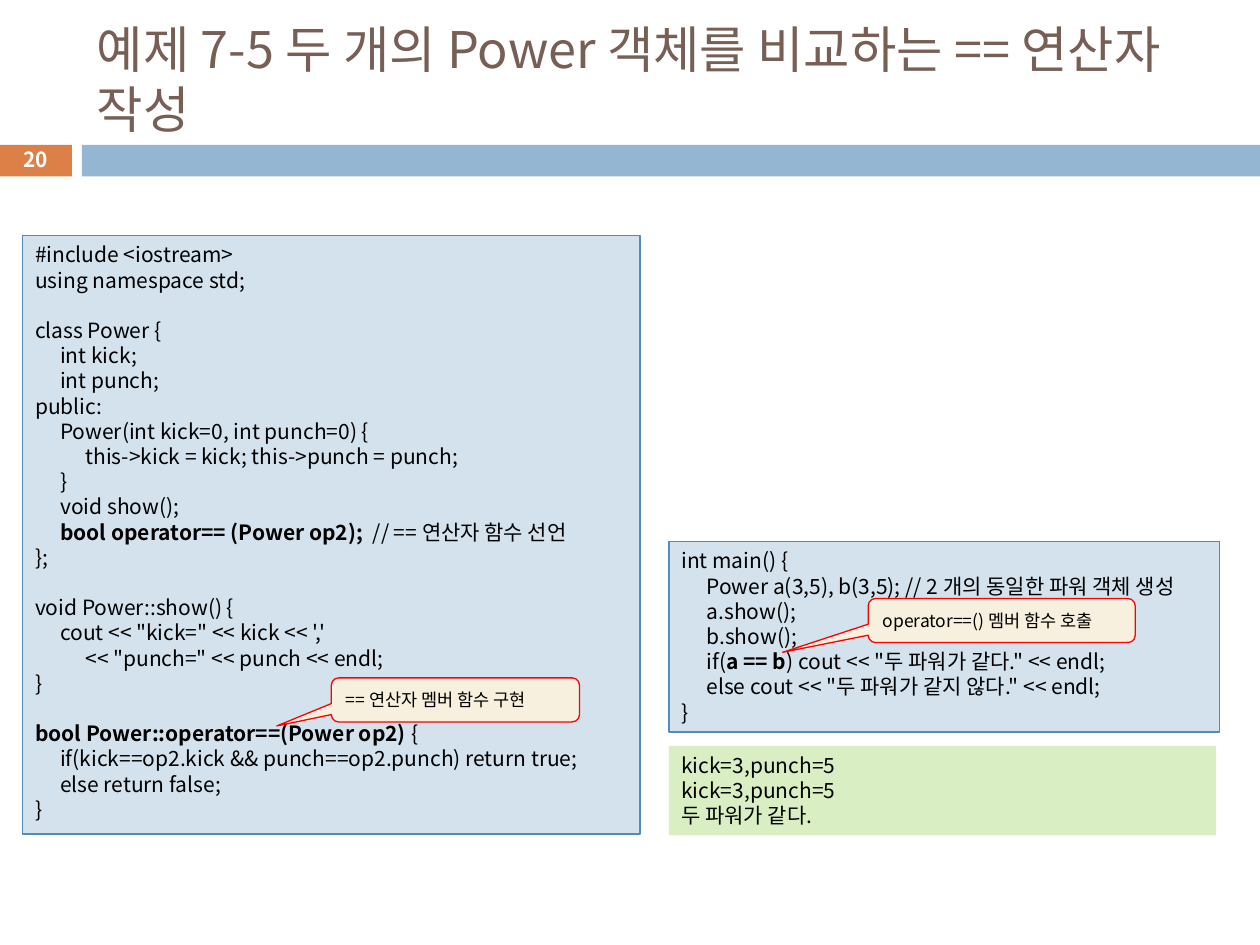
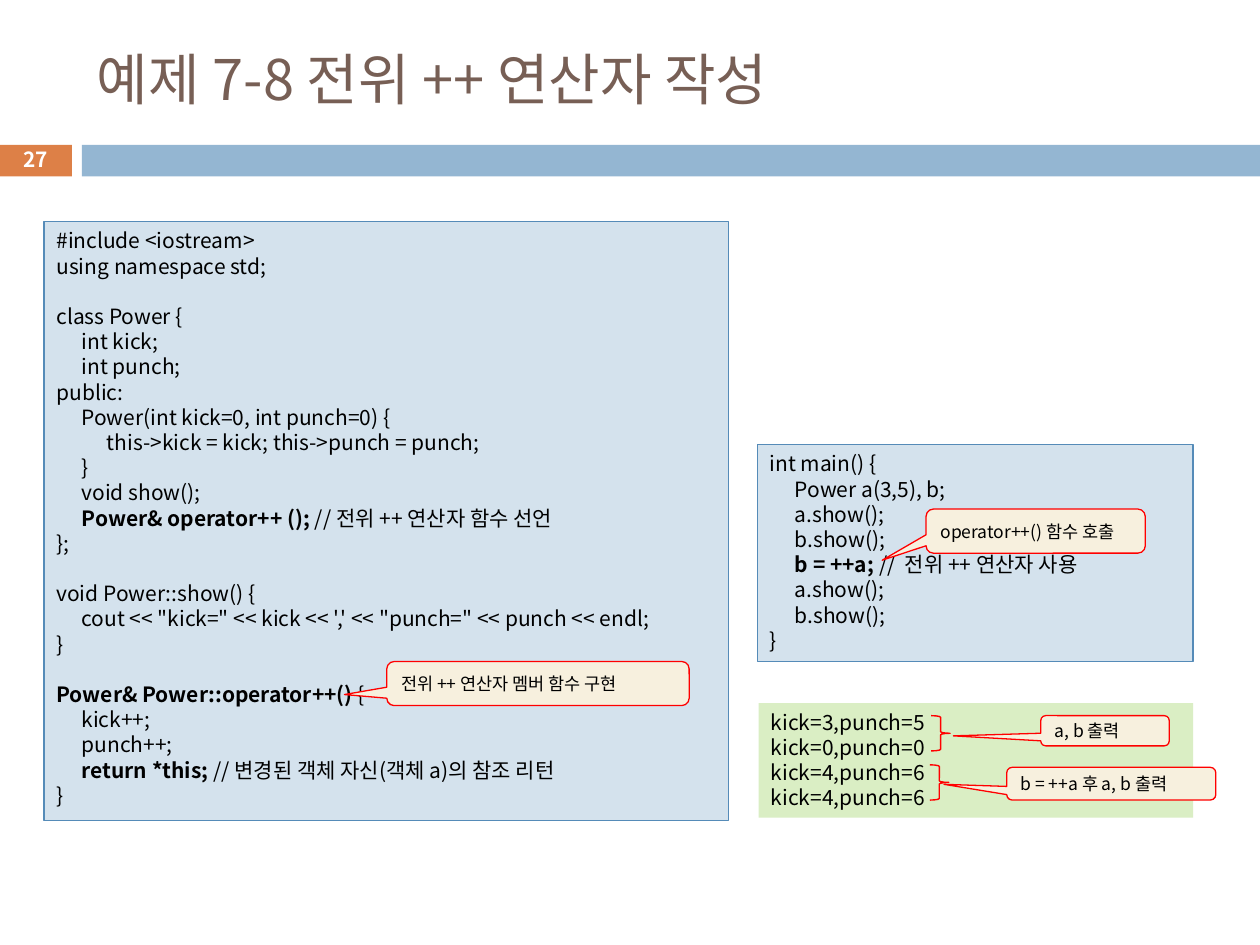
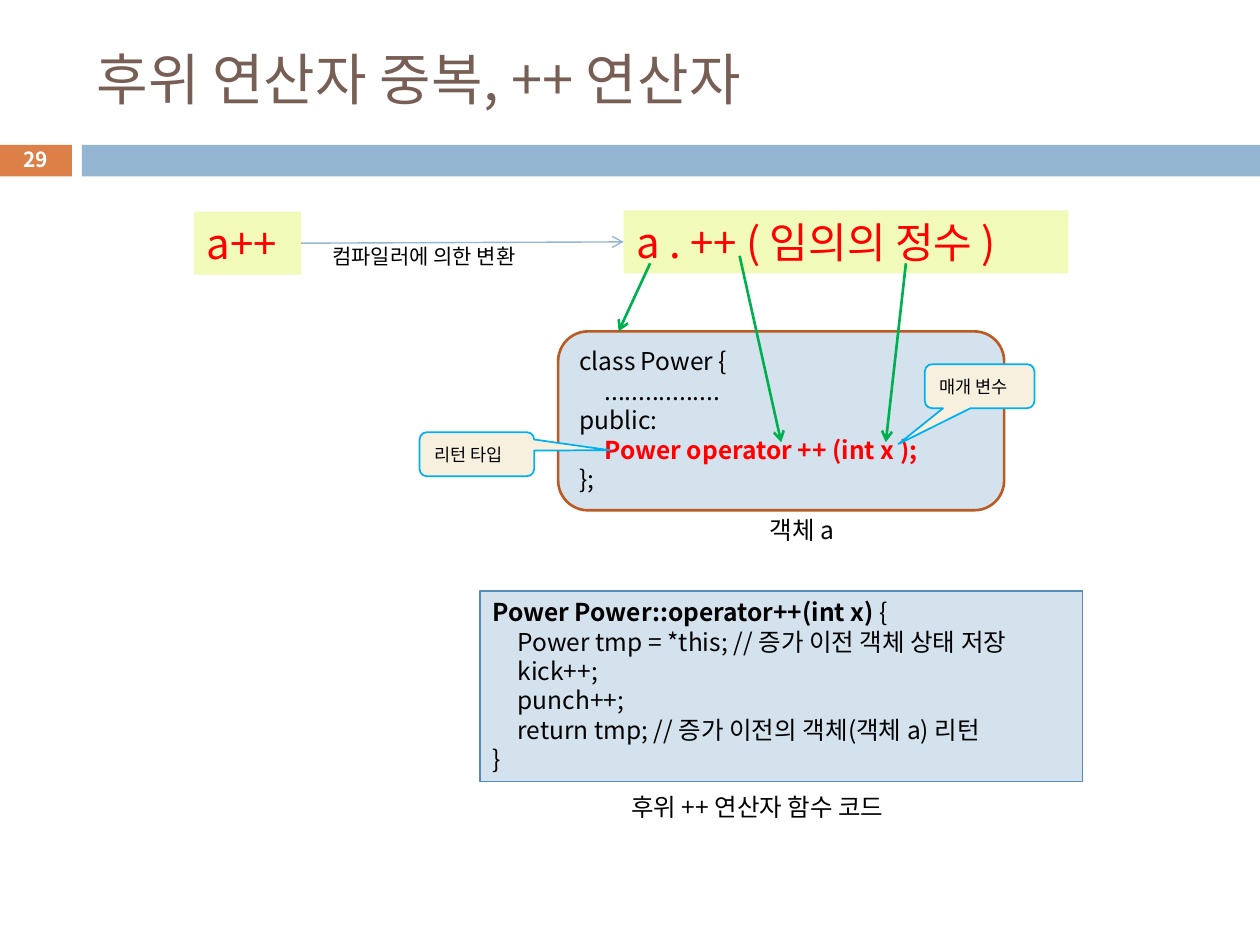
from dataclasses import dataclass
from typing import Any, Optional

from lxml import etree
from pptx import Presentation
from pptx import util as u
from pptx.dml import color
from pptx.enum import shapes, text
from pptx.oxml import ns

FONT = "Noto Sans CJK KR"
COLORS = {
    "ink": "000000", "white": "FFFFFF", "title": "775F55",
    "orange": "DD8047", "band": "94B6D2",
    "code": "D4E2ED", "code_edge": "558BB8", "class_edge": "B95B22",
    "output": "DAEEC4", "formula": "F1FAB8", "note": "F7F0DE",
    "red": "FF0000", "green": "00B050", "sky": "00B0F0",
}
KINDS = shapes.MSO_SHAPE
MIDDLE = text.MSO_ANCHOR.MIDDLE
LINE_HEIGHT = 1.2
TAB_WIDTH = u.Inches(0.2)
INDENT = "    "

# The slide is a grid of 100 columns and 75 rows
deck = Presentation()
deck.slide_width, deck.slide_height = u.Inches(10), u.Inches(7.5)
COLUMN = deck.slide_width / 100
ROW = deck.slide_height / 75


@dataclass(frozen=True)
class Area:
    column: float
    row: float
    columns: float
    rows: float

    def lengths(self) -> list[u.Emu]:
        return [u.Emu(round(self.column * COLUMN)), u.Emu(round(self.row * ROW)),
                u.Emu(round(self.columns * COLUMN)), u.Emu(round(self.rows * ROW))]


@dataclass(frozen=True)
class Look:
    """How a panel is drawn and how its words are set."""
    fill: Optional[str] = None
    edge: Optional[str] = None
    edge_width: float = 0.75
    kind: Any = KINDS.RECTANGLE
    size: float = 12
    ink: str = "ink"
    strong_ink: str = "ink"
    bold: bool = False
    align: Any = text.PP_ALIGN.LEFT
    anchor: Any = text.MSO_ANCHOR.TOP


@dataclass(frozen=True)
class Panel:
    area: Area
    look: Look
    words: str = ""
    pointer: Optional[tuple[float, float]] = None


@dataclass(frozen=True)
class Arrow:
    start: tuple[float, float]
    end: tuple[float, float]
    ink: str = "green"
    width: float = 1.5


# Shared looks
CALLOUT = KINDS.ROUNDED_RECTANGULAR_CALLOUT
NUMBER = Look(size=11.9, ink="white", bold=True, align=text.PP_ALIGN.CENTER, anchor=MIDDLE)
CODE = Look("code", "code_edge")
LARGE_CODE = Look("code", "code_edge", size=14)
CLASS_BOX = Look("code", "class_edge", 1.5, KINDS.ROUNDED_RECTANGLE, 14, strong_ink="red")
OUTPUT = Look("output")
FORMULA = Look("formula", size=24, ink="red")
RED_NOTE = Look("note", "red", kind=CALLOUT, size=10, anchor=MIDDLE)
SKY_NOTE = Look("note", "sky", 1, CALLOUT, 10, anchor=MIDDLE)
BRACE = Look(edge="red", edge_width=0.79, kind=KINDS.RIGHT_BRACE)
LABEL = Look()
CAPTION = Look(size=14)


def rgb(name: str) -> color.RGBColor:
    return color.RGBColor.from_string(COLORS[name])


def assign(target: Any, values: dict[str, Any]) -> None:
    for name, value in values.items():
        setattr(target, name, value)


def write(frame: Any, words: str, look: Look) -> None:
    """Set lines of text; ** switches bold, an empty line becomes a gap."""
    assign(frame, {"word_wrap": True, "vertical_anchor": look.anchor,
                   "auto_size": text.MSO_AUTO_SIZE.NONE})
    line_height = u.Pt(look.size * LINE_HEIGHT)
    para, gap = frame.paragraphs[0], False
    for number, line in enumerate(words.strip().splitlines()):
        if not line:
            gap = True
            continue
        if number:
            para = frame.add_paragraph()
        assign(para, {"alignment": look.align, "line_spacing": line_height})
        if gap:
            para.space_before, gap = line_height, False
        if line.startswith(INDENT):
            stops = etree.SubElement(para._p.get_or_add_pPr(), ns.qn("a:tabLst"))
            for step in (1, 2):
                etree.SubElement(stops, ns.qn("a:tab"), pos=str(TAB_WIDTH * step), algn="l")
        for index, part in enumerate(line.replace(INDENT, "\t").split("**")):
            if not part:
                continue
            strong = index % 2 == 1
            span = para.add_run()
            span.text = part
            assign(span.font, {"name": FONT, "size": u.Pt(look.size),
                               "bold": strong or look.bold})
            span.font.color.rgb = rgb(look.strong_ink if strong else look.ink)
            etree.SubElement(span.font._element, ns.qn("a:ea"), typeface=FONT)


def draw(page: Any, panel: Panel) -> Any:
    look = panel.look
    if not (look.fill or look.edge):
        box = page.shapes.add_textbox(*panel.area.lengths())
    else:
        box = page.shapes.add_shape(look.kind, *panel.area.lengths())
        box.shadow.inherit = False
        if look.fill:
            box.fill.solid()
            box.fill.fore_color.rgb = rgb(look.fill)
        else:
            box.fill.background()
        if look.edge:
            box.line.color.rgb = rgb(look.edge)
            box.line.width = u.Pt(look.edge_width)
        else:
            box.line.fill.background()
    if panel.pointer:
        box.adjustments[0], box.adjustments[1] = panel.pointer
    if panel.words:
        write(box.text_frame, panel.words, look)
    return box


def draw_arrow(page: Any, arrow: Arrow) -> Any:
    ends = [u.Emu(round(value * unit)) for point in (arrow.start, arrow.end)
            for value, unit in zip(point, (COLUMN, ROW))]
    line = page.shapes.add_connector(shapes.MSO_CONNECTOR.STRAIGHT, *ends)
    line.line.color.rgb = rgb(arrow.ink)
    line.line.width = u.Pt(arrow.width)
    etree.SubElement(line.line._get_or_add_ln(), ns.qn("a:tailEnd"), type="arrow")
    etree.SubElement(line._element.spPr, ns.qn("a:effectLst"))
    return line


def add_page(title: str, number: int, title_size: float = 32) -> Any:
    page = deck.slides.add_slide(deck.slide_layouts[6])
    title_look = Look(size=title_size, ink="title", anchor=MIDDLE)
    for panel in (
        Panel(Area(-0.1, 11.5, 5.8, 2.5), Look("orange")),
        Panel(Area(6.5, 11.5, 93.5, 2.5), Look("band")),
        Panel(Area(6.7, 2.5, 89.2, 7.4), title_look, title),
        Panel(Area(-0.1, 11.3, 5.8, 2.7), NUMBER, str(number)),
    ):
        draw(page, panel)
    return page


# Code shared by the two examples
CLASS_HEAD = """
#include <iostream>
using namespace std;

class Power {
    int kick;
    int punch;
public:
    Power(int kick=0, int punch=0) {
        this->kick = kick; this->punch = punch;
    }
    void show();
"""

EQUALS_CLASS = CLASS_HEAD + """\
    **bool operator== (Power op2);**  // == 연산자 함수 선언
};

void Power::show() {
    cout << "kick=" << kick << ','
        << "punch=" << punch << endl;
}

**bool Power::operator==(Power op2) **{
    if(kick==op2.kick && punch==op2.punch) return true;
    else return false;
}
"""
EQUALS_MAIN = """
int main() {
    Power a(3,5), b(3,5); // 2 개의 동일한 파워 객체 생성
    a.show();
    b.show();
    if(**a == b**) cout << "두 파워가 같다." << endl;
    else cout << "두 파워가 같지 않다." << endl;
}
"""
EQUALS_OUTPUT = """
kick=3,punch=5
kick=3,punch=5
두 파워가 같다.
"""

PREFIX_CLASS = CLASS_HEAD + """\
    **Power& operator++ (); **// 전위 ++ 연산자 함수 선언
};

void Power::show() {
    cout << "kick=" << kick << ',' << "punch=" << punch << endl;
}

**Power& Power::operator++() **{
    kick++;
    punch++;
    **return *this; **// 변경된 객체 자신(객체 a)의 참조 리턴
}
"""
PREFIX_MAIN = """
int main() {
    Power a(3,5), b;
    a.show();
    b.show();
    **b = ++a; **//  전위 ++ 연산자 사용
    a.show();
    b.show();
}
"""
PREFIX_OUTPUT = """
kick=3,punch=5
kick=0,punch=0
kick=4,punch=6
kick=4,punch=6
"""

POSTFIX_FUNCTION = """
**Power Power::operator++(int x) **{
    Power tmp = *this; // 증가 이전 객체 상태 저장
    kick++;
    punch++;
    return tmp; // 증가 이전의 객체(객체 a) 리턴
}
"""
POSTFIX_CLASS = """
class Power {
    .................
public:
    **Power operator ++ (int x );**
};
"""

EQUALS_PANELS = [
    Panel(Area(1.8, 18.7, 49, 47.5), CODE, EQUALS_CLASS),
    Panel(Area(53.1, 43, 43.7, 15.1), CODE, EQUALS_MAIN),
    Panel(Area(53.1, 59.2, 43.4, 7.1), OUTPUT, EQUALS_OUTPUT),
    Panel(Area(26.3, 53.8, 19.7, 3.5), RED_NOTE, "== 연산자 멤버 함수 구현", (-0.72, 0.59)),
    Panel(Area(68.9, 47.5, 21.2, 3.5), RED_NOTE, "operator==() 멤버 함수 호출", (-0.82, 0.72)),
]
PREFIX_PANELS = [
    Panel(Area(3.5, 17.6, 54.3, 47.5), CODE, PREFIX_CLASS),
    Panel(Area(60.1, 35.3, 34.6, 17.2), CODE, PREFIX_MAIN),
    Panel(Area(60.2, 55.8, 34.5, 9.1), OUTPUT, PREFIX_OUTPUT),
    Panel(Area(82.6, 56.8, 10.2, 2.4), RED_NOTE, "a, b 출력", (-1.18, 0.17)),
    Panel(Area(79.9, 60.9, 16.6, 2.6), RED_NOTE, "b = ++a 후 a, b 출력", (-0.8, 0.02)),
    Panel(Area(73.9, 56.8, 1.5, 2.8), BRACE),
    Panel(Area(73.8, 60.7, 1.5, 2.8), BRACE),
    Panel(Area(30.7, 52.5, 24, 3.5), RED_NOTE, "전위 ++ 연산자 멤버 함수 구현", (-0.64, 0.25)),
    Panel(Area(73.5, 40.4, 17.4, 3.5), RED_NOTE, "operator++() 함수 호출", (-0.7, 0.66)),
]
POSTFIX_PANELS = [
    Panel(Area(38.1, 46.9, 47.8, 15.1), LARGE_CODE, POSTFIX_FUNCTION),
    Panel(Area(44.3, 26.3, 35.4, 14.2), CLASS_BOX, POSTFIX_CLASS),
    Panel(Area(25.4, 18.8, 20.6, 3), LABEL, "컴파일러에 의한 변환"),
    Panel(Area(60.1, 40.4, 7.2, 3.4), CAPTION, "객체 a"),
    Panel(Area(33.3, 34.3, 9.1, 3.5), SKY_NOTE, "리턴 타입", (1.16, -0.09)),
    Panel(Area(73.4, 28.9, 8.7, 3.5), SKY_NOTE, "매개 변수", (-0.74, 1.31)),
    Panel(Area(49.1, 62.4, 25.2, 3.4), CAPTION, "후위 ++ 연산자 함수 코드"),
]
CALL = Panel(Area(15.4, 16.8, 8.5, 5), FORMULA, "a++")
CONVERTED = Panel(Area(49.5, 16.7, 35.3, 5), FORMULA, "a . ++ ( 임의의 정수 )")
MATCHES = [
    Arrow((58.7, 20.3), (62, 35.1)),
    Arrow((51.6, 20.9), (49.1, 26.3)),
    Arrow((71.9, 20.9), (70.3, 35.1)),
]


def main() -> None:
    # Two worked examples
    for title, number, size, panels in (
        ("예제 7-5 두 개의 Power 객체를 비교하는 == 연산자 작성", 20, 28.8, EQUALS_PANELS),
        ("예제 7-8 전위 ++ 연산자 작성", 27, 32, PREFIX_PANELS),
    ):
        page = add_page(title, number, size)
        for panel in panels:
            draw(page, panel)

    # How the compiler converts the postfix operator
    page = add_page("후위 연산자 중복, ++ 연산자", 29)
    call, converted = draw(page, CALL), draw(page, CONVERTED)
    conversion = draw_arrow(page, Arrow((23.9, 19.3), (49.5, 19.2), "band", 0.79))
    conversion.begin_connect(call, 3)
    conversion.end_connect(converted, 1)
    for panel in POSTFIX_PANELS:
        draw(page, panel)
    for match in MATCHES:
        draw_arrow(page, match)

    deck.save("out.pptx")


if __name__ == "__main__":
    main()
